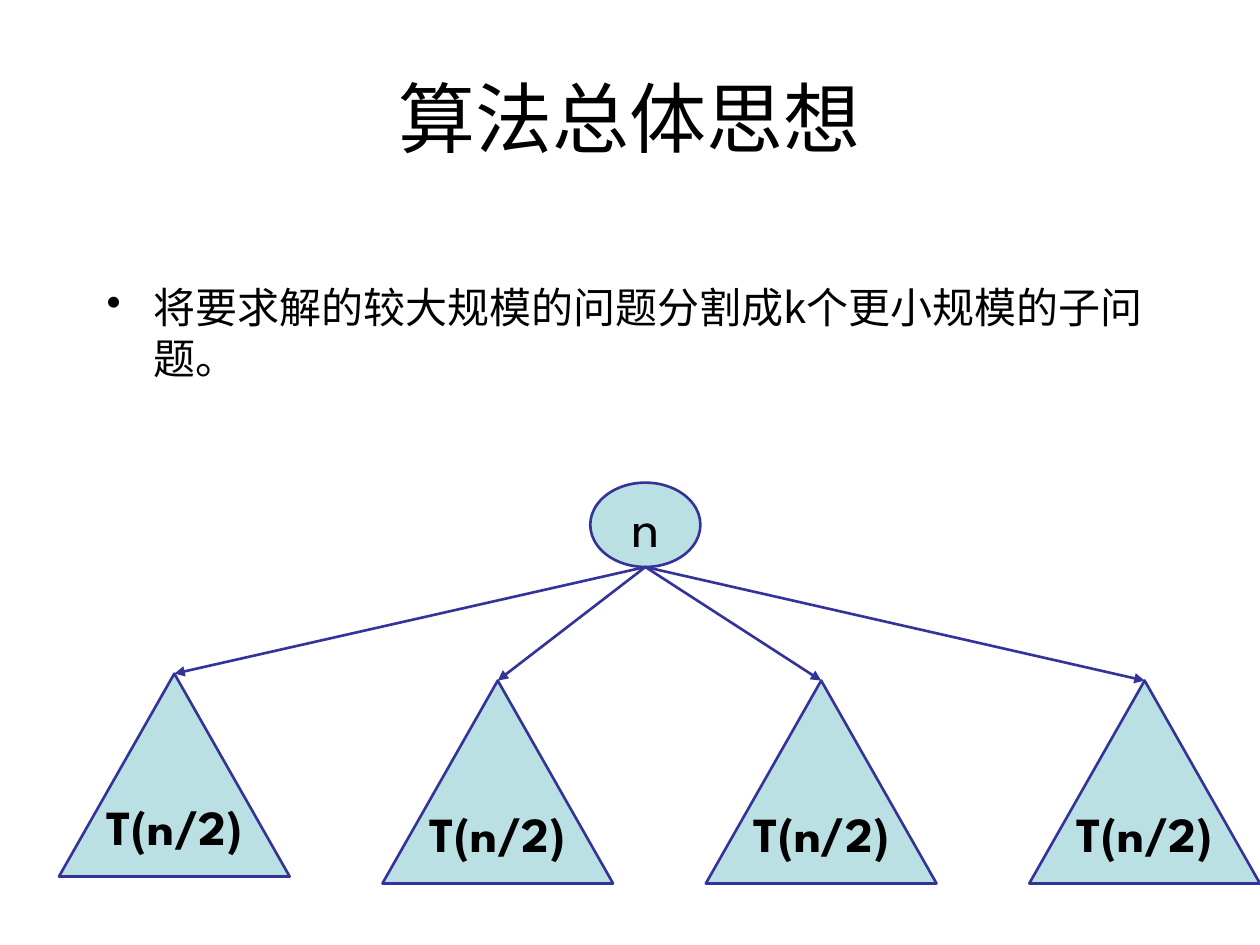
from lxml.etree import SubElement
from pptx import Presentation
from pptx.dml.color import RGBColor
from pptx.enum.shapes import MSO_CONNECTOR, MSO_SHAPE
from pptx.enum.text import MSO_ANCHOR, PP_ALIGN
from pptx.oxml.ns import qn
from pptx.util import Cm, Pt

CHINESE_FONT = "Noto Sans CJK SC"
LABEL_FONT = "League Spartan"
BLACK, NODE_FILL, NODE_LINE = "000000", "BBE0E3", "333399"


def colour(value):
    return RGBColor.from_string(value)


def write(shape, text, size, font_name, bold=False, align=PP_ALIGN.CENTER,
          anchor=MSO_ANCHOR.MIDDLE, wrap=True):
    frame = shape.text_frame
    frame.word_wrap = wrap
    frame.vertical_anchor = anchor
    paragraph = frame.paragraphs[0]
    paragraph.text = text
    paragraph.alignment = align
    font = paragraph.font
    font.name, font.size, font.bold = font_name, Pt(size), bold
    font.color.rgb = colour(BLACK)
    SubElement(font._element, qn("a:ea")).set("typeface", CHINESE_FONT)
    return paragraph


def add_title(page, text):
    box = page.shapes.add_textbox(Cm(1.27), Cm(0.76), Cm(22.86), Cm(3.18))
    write(box, text, 44, "Arial")


def add_bullet(page, text):
    box = page.shapes.add_textbox(Cm(1.9), Cm(5.56), Cm(21.6), Cm(9.8))
    paragraph = write(box, text, 24, CHINESE_FONT, align=PP_ALIGN.LEFT,
                      anchor=MSO_ANCHOR.TOP)
    paragraph.space_before = Pt(4.8)
    properties = paragraph._p.get_or_add_pPr()
    properties.set("marL", str(Cm(0.95)))
    properties.set("indent", str(Cm(-0.95)))
    bullet = properties.makeelement(qn("a:buChar"), {"char": "•"})
    properties.find(qn("a:defRPr")).addprevious(bullet)


def add_node(page, kind, left, top, width, height, text, size, bold=False):
    node = page.shapes.add_shape(kind, Cm(left), Cm(top), Cm(width), Cm(height))
    node.shadow.inherit = False
    node.fill.solid()
    node.fill.fore_color.rgb = colour(NODE_FILL)
    node.line.color.rgb = colour(NODE_LINE)
    node.line.width = Pt(1.5)
    write(node, text, size, LABEL_FONT, bold, wrap=False)
    return node


def add_arrow(page, root, child):
    arrow = page.shapes.add_connector(
        MSO_CONNECTOR.STRAIGHT, root.left + root.width // 2,
        root.top + root.height, child.left + child.width // 2, child.top)
    arrow.end_connect(child, 0)
    arrow.line.color.rgb = colour(NODE_LINE)
    arrow.line.width = Pt(1.5)
    SubElement(arrow.line._get_or_add_ln(), qn("a:tailEnd")).set("type", "triangle")
    SubElement(arrow._element.spPr, qn("a:effectLst"))


def main():
    deck = Presentation()
    deck.slide_width, deck.slide_height = Cm(25.4), Cm(19.05)
    page = deck.slides.add_slide(deck.slide_layouts[6])
    add_bullet(page, "将要求解的较大规模的问题分割成k个更小规模的子问题。")
    add_title(page, "算法总体思想")
    root = add_node(page, MSO_SHAPE.OVAL, 11.9, 9.73, 2.22, 1.7, "n", 32)
    for index, top in enumerate([13.58, 13.72, 13.72, 13.72]):
        child = add_node(page, MSO_SHAPE.ISOSCELES_TRIANGLE, 1.19 + 6.52 * index,
                         top, 4.65, 4.09, "T(n/2)", 28, True)
        add_arrow(page, root, child)
    deck.save("out.pptx")


if __name__ == "__main__":
    main()
